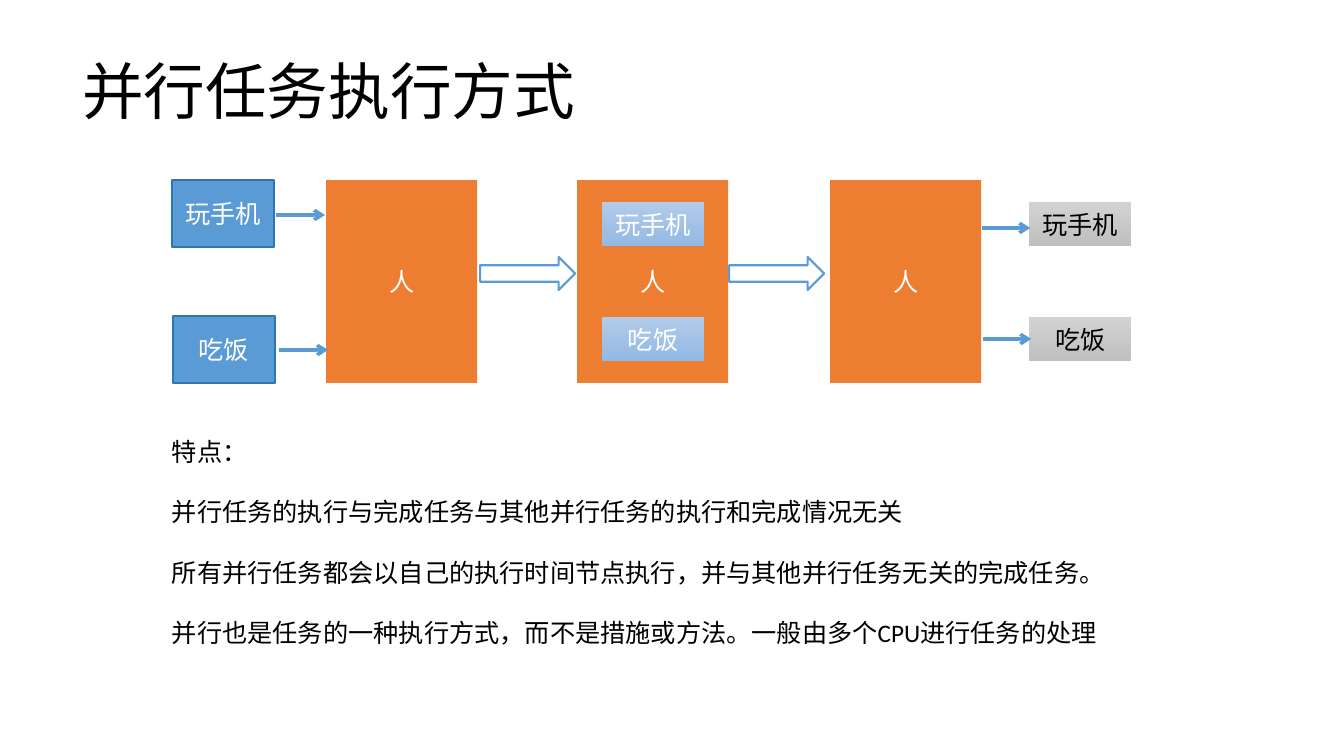
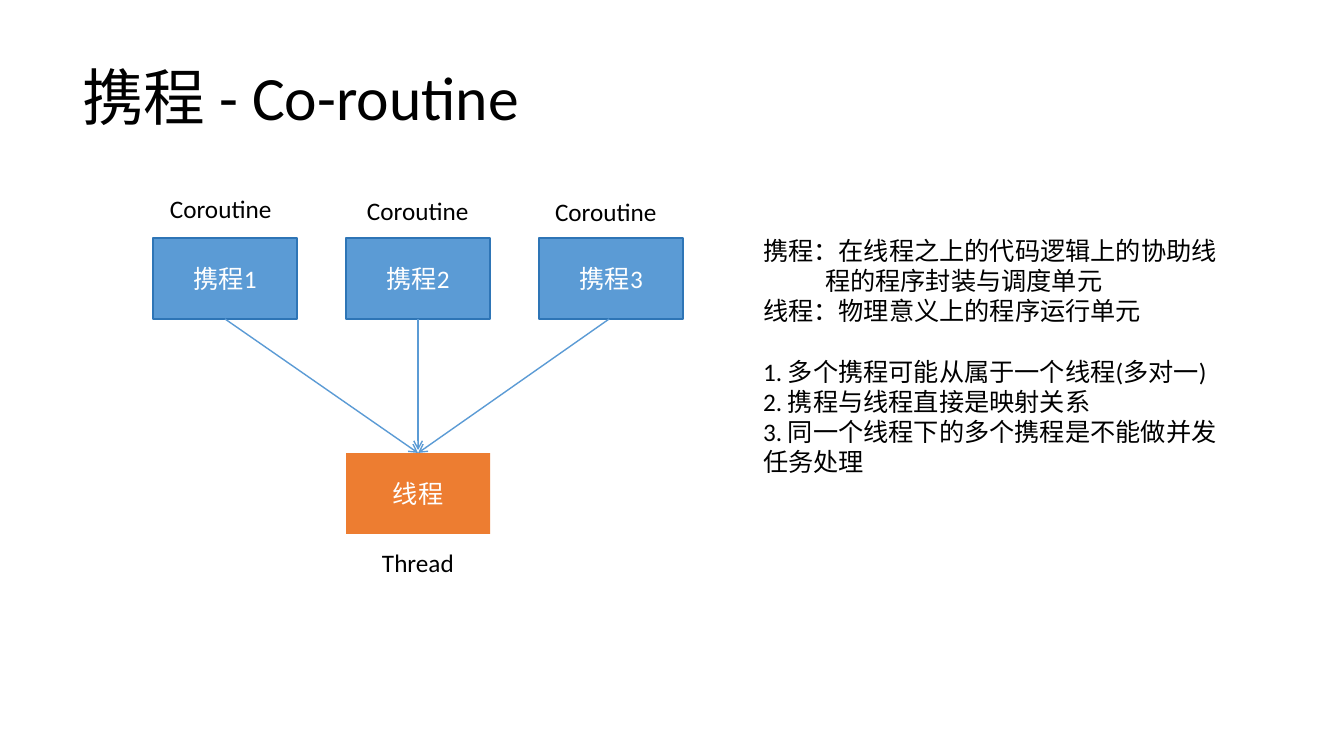
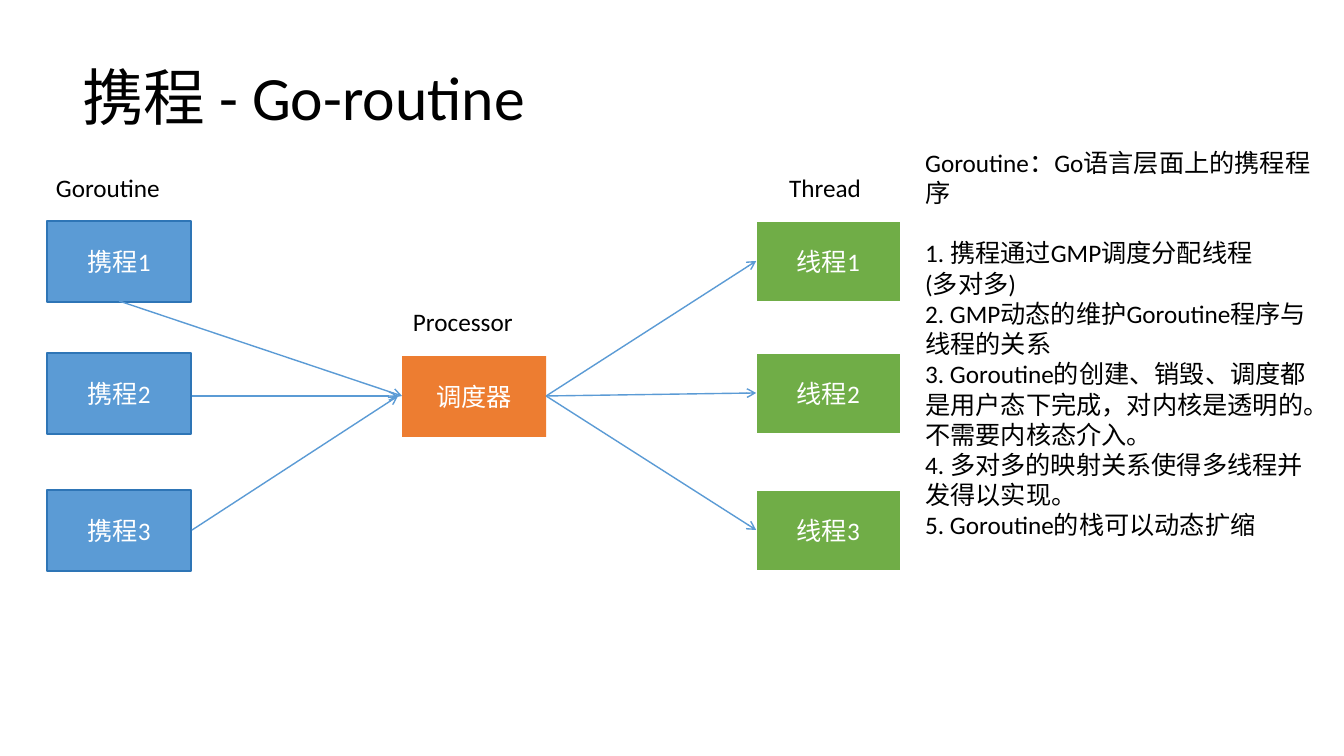
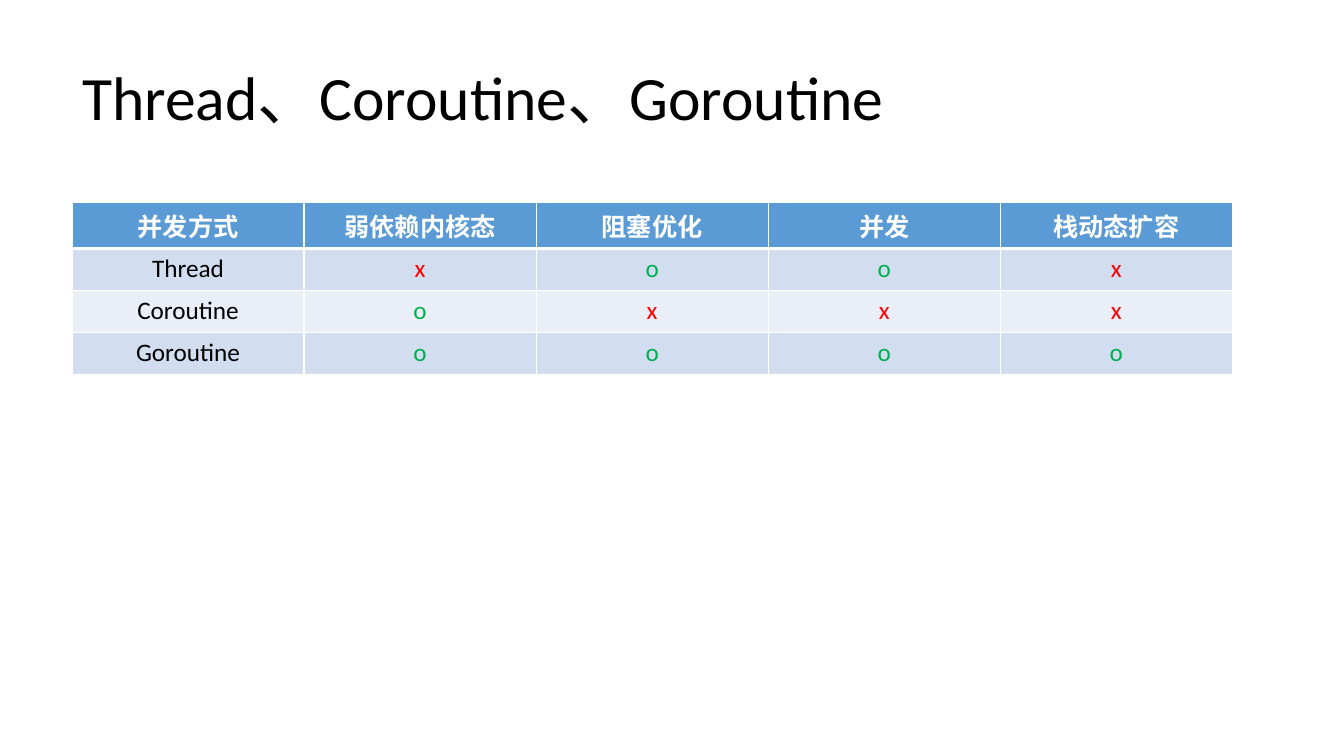
"""Build four slides on parallel tasks, coroutines and goroutines."""
from dataclasses import dataclass

from pptx import Presentation
from pptx.dml.color import RGBColor
from pptx.enum.lang import MSO_LANGUAGE_ID
from pptx.enum.shapes import MSO_CONNECTOR, MSO_SHAPE
from pptx.enum.text import MSO_ANCHOR, MSO_AUTO_SIZE, PP_ALIGN
from pptx.oxml.ns import qn
from pptx.util import Inches, Pt
from lxml.etree import SubElement


@dataclass(frozen=True)
class Theme:
    font: str = "Calibri"
    title_size: int = 44
    body_size: int = 18
    blank_line: float = 21.6
    black: str = "000000"
    white: str = "FFFFFF"
    blue: str = "5B9BD5"
    dark_blue: str = "2E75B6"
    orange: str = "ED7D31"
    green: str = "70AD47"
    yes: str = "00B050"
    no: str = "FF0000"
    bands: tuple = ("EAEFF7", "D2DEEF")
    running: tuple = ("B1CBE9", "93B9E4")
    done: tuple = ("D2D2D2", "C0C0C0")


theme = Theme()
EMU_PER_PX = 914400 / 100.8
roles = {
    "task": ((theme.blue,), theme.dark_blue, theme.white),
    "worker": ((theme.orange,), None, theme.white),
    "thread": ((theme.green,), theme.white, theme.white),
    "running": (theme.running, None, theme.white),
    "done": (theme.done, None, theme.black),
}


def px(*lengths):
    return [round(length * EMU_PER_PX) for length in lengths]


def write(paragraph, text, ink, size=theme.body_size, align=PP_ALIGN.LEFT, bold=False):
    paragraph.alignment = align
    run = paragraph.add_run()
    run.text = text
    run.font.name = theme.font
    run.font.size = Pt(size)
    run.font.bold = bold
    run.font.color.rgb = RGBColor.from_string(ink)
    run.font.language_id = MSO_LANGUAGE_ID.SIMPLIFIED_CHINESE


parallel = {
    "title": "并行任务执行方式",
    "title_height": 133,
    "boxes": [
        ("task", "玩手机", 172, 180, 102, 67),
        ("task", "吃饭", 173, 316, 102, 67),
        *[("worker", "人", left, 180, 151, 203) for left in (326, 577, 830)],
        *[
            (role, text, left, top, 102, 44)
            for role, left in (("running", 602), ("done", 1029))
            for text, top in (("玩手机", 202), ("吃饭", 317))
        ],
    ],
    "steps": [(480, 257, 95, 33), (729, 257, 95, 33)],
    "link_width": 2.5,
    "links": [
        (276, 215, 325, 215),
        (279, 350, 328, 350),
        (982, 228, 1030, 228),
        (983, 339, 1031, 339),
    ],
    "notes": [
        ((162, 431, 1019, 254), [
            ("特点：", 0, 0),
            ("并行任务的执行与完成任务与其他并行任务的执行和完成情况无关", 1, 0),
            ("所有并行任务都会以自己的执行时间节点执行，并与其他并行任务无关的完成任务。", 1, 0),
            ("并行也是任务的一种执行方式，而不是措施或方法。一般由多个CPU进行任务的处理", 1, 0),
        ]),
    ],
}

coroutine = {
    "title": "携程 - Co-routine",
    "boxes": [
        *[("task", f"携程{i + 1}", 153 + 193 * i, 238, 144, 81) for i in range(3)],
        ("worker", "线程", 346, 453, 144, 81),
    ],
    "link_width": 1,
    "links": [
        (225, 319, 418, 453),
        (418, 319, 418, 450),
        (609, 319, 418, 453),
    ],
    "notes": [
        ((753, 230, 491, 254), [
            ("携程：在线程之上的代码逻辑上的协助线程的程序封装与调度单元", 0, 62),
            ("线程：物理意义上的程序运行单元", 0, 0),
            ("1. 多个携程可能从属于一个线程(多对一)", 1, 0),
            ("2. 携程与线程直接是映射关系", 0, 0),
            ("3. 同一个线程下的多个携程是不能做并发任务处理", 0, 0),
        ]),
        *[
            ((left, top, 157, 40), [(text, 0, 0)])
            for text, left, top in (
                ("Coroutine", 160, 188),
                ("Coroutine", 357, 190),
                ("Coroutine", 545, 191),
                ("Thread", 372, 542),
            )
        ],
    ],
}

goroutine = {
    "title": "携程 - Go-routine",
    "boxes": [
        *[
            (role, f"{text}{i}", left, top, 144, 81)
            for role, text, left in (("task", "携程", 47), ("thread", "线程", 756))
            for i, top in enumerate((221, 353, 490), 1)
        ],
        ("worker", "调度器", 402, 356, 144, 81),
    ],
    "link_width": 1,
    "links": [
        (119, 301, 402, 396),
        (192, 396, 398, 396),
        (192, 530, 398, 396),
        *[(546, 396, 756, end) for end in (261, 393, 530)],
    ],
    "notes": [
        ((915, 142, 411, 407), [
            ("Goroutine：Go语言层面上的携程程序", 0, 0),
            ("1. 携程通过GMP调度分配线程", 1, 0),
            ("(多对多)", 0, 0),
            ("2. GMP动态的维护Goroutine程序与线程的关系", 0, 0),
            ("3. Goroutine的创建、销毁、调度都是用户态下完成，对内核是透明的。不需要内核态介入。", 0, 0),
            ("4. 多对多的映射关系使得多线程并发得以实现。", 0, 0),
            ("5. Goroutine的栈可以动态扩缩", 0, 0),
        ]),
        *[
            ((left, top, 147, 40), [(text, 0, 0)])
            for text, left, top in (
                ("Processor", 403, 301),
                ("Goroutine", 46, 167),
                ("Thread", 779, 167),
            )
        ],
    ],
}

comparison = {
    "title": "Thread、Coroutine、Goroutine",
    "table": [
        ("并发方式", "弱依赖内核态", "阻塞优化", "并发", "栈动态扩容"),
        ("Thread", "x", "o", "o", "x"),
        ("Coroutine", "o", "x", "x", "x"),
        ("Goroutine", "o", "o", "o", "o"),
    ],
}

deck = Presentation()
deck.slide_width, deck.slide_height = Inches(13.33), Inches(7.5)
title_only = deck.slide_layouts[5]

for content in (parallel, coroutine, goroutine, comparison):
    slide = deck.slides.add_slide(title_only)
    heading = slide.shapes.title
    heading.left, heading.top, heading.width, heading.height = px(
        72, 28, 1159, content.get("title_height", 146))
    heading.text_frame.auto_size = MSO_AUTO_SIZE.NONE
    heading.text_frame.vertical_anchor = MSO_ANCHOR.MIDDLE
    heading_line = heading.text_frame.paragraphs[0]
    heading_line.line_spacing = 0.9
    write(heading_line, content["title"], theme.black, theme.title_size)

    for role, text, *place in content.get("boxes", []):
        fills, outline, ink = roles[role]
        box = slide.shapes.add_shape(MSO_SHAPE.RECTANGLE, *px(*place))
        box.shadow.inherit = False
        if len(fills) > 1:
            box.fill.gradient()
            box.fill.gradient_angle = 270
            for stop, shade in zip(box.fill.gradient_stops, fills):
                stop.color.rgb = RGBColor.from_string(shade)
        else:
            box.fill.solid()
            box.fill.fore_color.rgb = RGBColor.from_string(fills[0])
        if outline:
            box.line.color.rgb = RGBColor.from_string(outline)
            box.line.width = Pt(1)
        else:
            box.line.fill.background()
        box.text_frame.vertical_anchor = MSO_ANCHOR.MIDDLE
        write(box.text_frame.paragraphs[0], text, ink, align=PP_ALIGN.CENTER)

    for place in content.get("steps", []):
        step = slide.shapes.add_shape(MSO_SHAPE.RIGHT_ARROW, *px(*place))
        step.shadow.inherit = False
        step.fill.background()
        step.line.color.rgb = RGBColor.from_string(theme.blue)
        step.line.width = Pt(1.5)

    for ends in content.get("links", []):
        link = slide.shapes.add_connector(MSO_CONNECTOR.STRAIGHT, *px(*ends))
        link.line.color.rgb = RGBColor.from_string(theme.blue)
        link.line.width = Pt(content["link_width"])
        SubElement(link.line._get_or_add_ln(), qn("a:tailEnd"), type="arrow")
        SubElement(link._element.spPr, qn("a:effectLst"))

    for place, lines in content.get("notes", []):
        frame = slide.shapes.add_textbox(*px(*place)).text_frame
        frame.word_wrap = True
        frame.auto_size = MSO_AUTO_SIZE.SHAPE_TO_FIT_TEXT
        for i, (text, blank_lines, hanging) in enumerate(lines):
            paragraph = frame.add_paragraph() if i else frame.paragraphs[0]
            paragraph.space_before = Pt(blank_lines * theme.blank_line)
            if hanging:
                indent, = px(hanging)
                properties = paragraph._p.get_or_add_pPr()
                properties.set("marL", str(indent))
                properties.set("indent", str(-indent))
            write(paragraph, text, theme.black)

    if "table" in content:
        rows = content["table"]
        table = slide.shapes.add_table(
            len(rows), len(rows[0]), *px(72, 202, 1160, 168)).table
        for r, row in enumerate(rows):
            for c, text in enumerate(row):
                cell = table.cell(r, c)
                borders = cell._tc.get_or_add_tcPr()
                for side in ("lnL", "lnR", "lnT", "lnB"):
                    thick = (r, side) in ((0, "lnB"), (1, "lnT"))
                    border = SubElement(
                        borders, qn(f"a:{side}"), w=str(Pt(3 if thick else 1)))
                    paint = SubElement(border, qn("a:solidFill"))
                    SubElement(paint, qn("a:srgbClr"), val=theme.white)
                cell.fill.solid()
                cell.fill.fore_color.rgb = RGBColor.from_string(
                    theme.bands[r % 2] if r else theme.blue)
                ink = {"x": theme.no, "o": theme.yes}.get(text, theme.black)
                write(cell.text_frame.paragraphs[0], text, ink if r else theme.white,
                      align=PP_ALIGN.CENTER, bold=r == 0)

deck.save("out.pptx")
